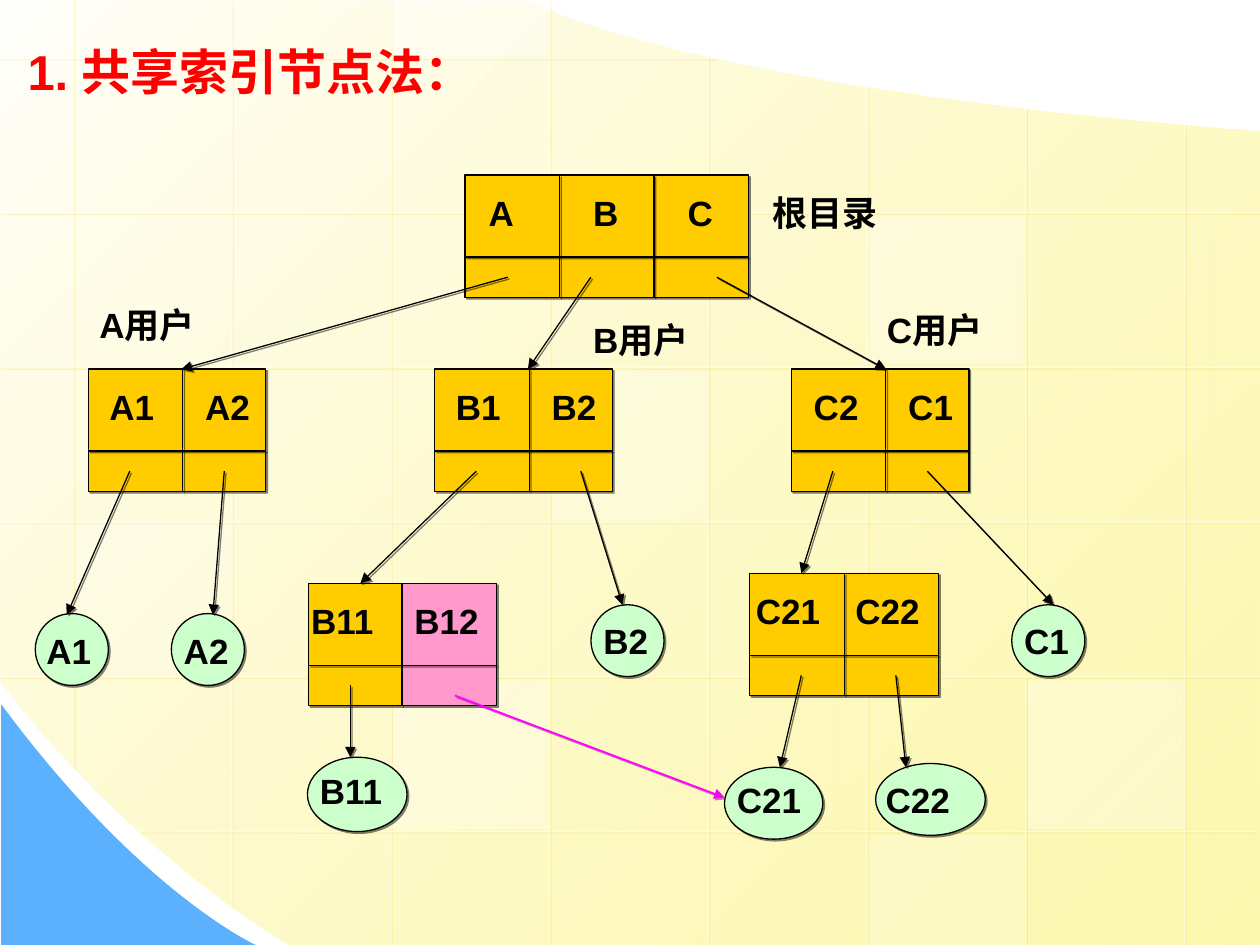
from lxml import etree
from pptx import Presentation
from pptx.dml.color import RGBColor
from pptx.enum.shapes import MSO_CONNECTOR, MSO_SHAPE
from pptx.enum.text import MSO_AUTO_SIZE
from pptx.oxml.ns import qn
from pptx.util import Inches, Pt

RECT, OVAL = MSO_SHAPE.RECTANGLE, MSO_SHAPE.OVAL
STRAIGHT = MSO_CONNECTOR.STRAIGHT
FIT = MSO_AUTO_SIZE.SHAPE_TO_FIT_TEXT
COLORS = {
    "white": "FFFFFF", "black": "000000", "red": "FF0000", "cream": "FFFFFB",
    "yellow": "FDF58D", "blue": "5CB1FE", "gold": "FFCC00", "mint": "CCFFCC",
    "pink": "FF99CC", "magenta": "FF00FF", "purple": "990099",
}
RGB = {name: RGBColor.from_string(value) for name, value in COLORS.items()}

prs = Presentation()
prs.slide_width, prs.slide_height = Inches(10), Inches(7.5)
s = prs.slides.add_slide(prs.slide_layouts[6])

# Grid of 10 columns by 7.5 rows
COL, ROW = prs.slide_width / 10, prs.slide_height / 7.5


def add_shadow(parent, color, alpha):
    """Append a small shadow towards the lower right."""
    effects = etree.SubElement(parent, qn("a:effectLst"))
    shadow = etree.SubElement(effects, qn("a:outerShdw"), dist="17961", dir="2700000")
    clr = etree.SubElement(shadow, qn("a:srgbClr"), val=COLORS[color])
    etree.SubElement(clr, qn("a:alpha"), val=str(alpha * 1000))


def add_line(x1, y1, x2, y2, color="black", width=0.75, arrow=False,
             alpha=100, shadow=("black", 50)):
    """Draw a straight line, with an optional arrowhead at its end."""
    cxn = s.shapes.add_connector(STRAIGHT, int(x1 * COL), int(y1 * ROW),
                                 int(x2 * COL), int(y2 * ROW))
    cxn.line.color.rgb = RGB[color]
    cxn.line.width = Pt(width)
    sp_pr = cxn._element.spPr
    ln = sp_pr.find(qn("a:ln"))
    if alpha < 100:
        clr = ln.find(".//" + qn("a:srgbClr"))
        etree.SubElement(clr, qn("a:alpha"), val=str(alpha * 1000))
    if arrow:
        etree.SubElement(ln, qn("a:tailEnd"), type="triangle")
    add_shadow(sp_pr, *shadow)


# Background: segments of one point are lines, of three points are Bezier curves
outlines = [
    ((10, 1.04), [[(10, 4.27), (10, 7.5), (10, 7.5)],
                  [(10, 7.5), (6.15, 7.5), (2.3, 7.5)],
                  [(0.86, 6.61), (-0.01, 5.39), (0, 5.39)],
                  [(-0.01, -0.01)],
                  [(4.21, 0.01)],
                  [(4.21, 0.01), (5.37, 0.69), (10, 1.04)]]),
    ((0.01, 5.59), [[(0.01, 6.55), (0.01, 7.5), (0.01, 7.5)],
                    [(2.03, 7.5)],
                    [(2.03, 7.5), (1.12, 7.09), (0.01, 5.59)]]),
]
areas = []
for start, segments in outlines:
    builder = s.shapes.build_freeform(int(start[0] * COL), int(start[1] * ROW))
    builder.add_line_segments([(int(x * COL), int(y * ROW))
                               for segment in segments for x, y in segment])
    sp = builder.convert_to_shape()
    steps = iter(sp._element.spPr.findall(".//" + qn("a:lnTo")))
    for segment in segments:
        first, *others = [next(steps) for _ in segment]
        if others:
            first.tag = qn("a:cubicBezTo")
            for step in others:
                first.append(step[0])
                step.getparent().remove(step)
    sp.shadow.inherit = False
    sp.line.fill.background()
    areas.append(sp)

field, corner = areas
field.fill.gradient()
field.fill.gradient_angle = 315
for stop, name in zip(field.fill.gradient_stops, ("cream", "yellow")):
    stop.color.rgb = RGB[name]
last = field._element.spPr.findall(".//" + qn("a:srgbClr"))[-1]
etree.SubElement(last, qn("a:alpha"), val="70000")
corner.fill.solid()
corner.fill.fore_color.rgb = RGB["blue"]

# Background grid lines, cut off along the curves
faint = dict(color="white", alpha=50, shadow=("gold", 34))
vertical = [(0, 6.09), (0, 7.19), (0, 7.5), (0, 7.52), (0.43, 7.52),
            (0.68, 7.52), (0.85, 7.52), (0.98, 7.52)]
for i, (top, bottom) in enumerate(vertical):
    x = 0.58 + 1.26 * i
    add_line(x, top, x, bottom, **faint)
horizontal = [(0, 5.68), (0, 10.01), (0, 10.01), (0, 10.01), (0, 10.01), (1.11, 9.97)]
for i, (left, right) in enumerate(horizontal):
    y = 0.46 + 1.228 * i
    add_line(right, y, left, y, **faint)

# Pale squares: left, top, height, opacity
for x, y, h, alpha in [(4.38, 2.94, 1.18, 25), (8.16, 5.4, 1.18, 30),
                       (0.6, 4.16, 1.18, 20), (6.9, 6.63, 0.87, 20),
                       (3.11, 0, 0.44, 40), (3.12, 5.4, 1.18, 30),
                       (6.89, 1.71, 1.18, 30)]:
    sp = s.shapes.add_shape(RECT, int(x * COL), int(y * ROW), int(1.23 * COL), int(h * ROW))
    sp.shadow.inherit = False
    sp.fill.solid()
    sp.fill.fore_color.rgb = RGB["white"]
    clr = sp._element.spPr.find(".//" + qn("a:srgbClr"))
    etree.SubElement(clr, qn("a:alpha"), val=str(alpha * 1000))
    sp.line.fill.background()

# Directory tables: left, top, width, fill, entries with the left of each label
tables = [
    (3.69, 1.39, 2.25, "gold", {"A": 3.78, "B": 4.61, "C": 5.36}),
    (0.7, 2.93, 1.41, "gold", {"A1": 0.77, "A2": 1.53}),
    (3.45, 2.93, 1.41, "gold", {"B1": 3.52, "B2": 4.28}),
    (6.28, 2.93, 1.41, "gold", {"C2": 6.36, "C1": 7.11}),
    (5.95, 4.55, 1.5, "gold", {"C21": 5.9, "C22": 6.69}),
    (2.45, 4.63, 0.74, "gold", {"B11": 2.37}),
    (3.19, 4.63, 0.75, "pink", {"B12": 3.19}),
]
# Files: name, left, top, width, height, left and top of the label
files = [
    ("A1", 0.28, 4.87, 0.58, 0.57, 0.27, 4.95),
    ("A2", 1.36, 4.87, 0.58, 0.57, 1.36, 4.95),
    ("B2", 4.69, 4.8, 0.58, 0.57, 4.69, 4.87),
    ("C1", 8.03, 4.8, 0.58, 0.57, 8.03, 4.87),
    ("C21", 5.75, 6.09, 0.78, 0.57, 5.75, 6.13),
    ("C22", 6.95, 6.06, 0.87, 0.57, 6.93, 6.13),
    ("B11", 2.44, 6.01, 0.79, 0.59, 2.44, 6.06),
]
nodes = [(RECT, x, y, w, 0.97, fill) for x, y, w, fill, _ in tables]
nodes += [(OVAL, x, y, w, h, "mint") for _, x, y, w, h, _, _ in files]
for kind, x, y, w, h, fill in nodes:
    sp = s.shapes.add_shape(kind, int(x * COL), int(y * ROW), int(w * COL), int(h * ROW))
    sp.fill.solid()
    sp.fill.fore_color.rgb = RGB[fill]
    sp.line.color.rgb = RGB["black"]
    sp.line.width = Pt(0.75)
    add_shadow(sp._element.spPr, "black", 50)

# Dividers of the tables
for x, y, w, _, entries in tables:
    for i in range(1, len(entries)):
        add_line(x + 0.75 * i, y, x + 0.75 * i, y + 0.97)
    add_line(x, y + 0.65, x + w, y + 0.65)

# Arrows from the table entries
for ends in [(4.03, 2.2, 1.44, 2.93), (4.69, 2.2, 4.19, 2.93), (5.69, 2.2, 7.03, 2.93),
             (1.03, 3.74, 0.53, 4.88), (1.78, 3.74, 1.69, 4.88), (3.78, 3.74, 2.86, 4.63),
             (4.61, 3.74, 4.94, 4.8), (6.61, 3.74, 6.36, 4.55), (7.36, 3.74, 8.36, 4.8),
             (6.36, 5.36, 6.19, 6.09), (7.11, 5.36, 7.19, 6.09), (2.78, 5.44, 2.78, 6.01)]:
    add_line(*ends, arrow=True)
# Link to the shared file
add_line(3.61, 5.52, 5.75, 6.33, "magenta", 1, arrow=True, shadow=("purple", 50))

# Texts: wording, left, top, width
WIDTHS = {1: 0.5, 2: 0.75, 3: 0.95}
texts = [("1. 共享索引节点法：", 0.12, 0.28, 3.79), ("根目录", 6.03, 1.47, 1.42),
         ("A用户", 0.69, 2.36, 1.25), ("B用户", 4.61, 2.48, 1.25), ("C用户", 6.94, 2.4, 1.25)]
texts += [(name, left, y + 0.08, WIDTHS[len(name)])
          for _, y, _, _, entries in tables for name, left in entries.items()]
texts += [(name, left, top, WIDTHS[len(name)]) for name, _, _, _, _, left, top in files]
for i, (text, x, y, w) in enumerate(texts):
    title = i == 0
    h = 0.57 if title else 0.42
    tf = s.shapes.add_textbox(int(x * COL), int(y * ROW), int(w * COL), int(h * ROW)).text_frame
    tf.word_wrap = not title
    tf.auto_size = FIT
    p = tf.paragraphs[0]
    p.text = text
    p.font.name = "Arial"
    p.font.size = Pt(28 if title else 20)
    p.font.bold = True
    p.font.color.rgb = RGB["red" if title else "black"]

prs.save("out.pptx")
